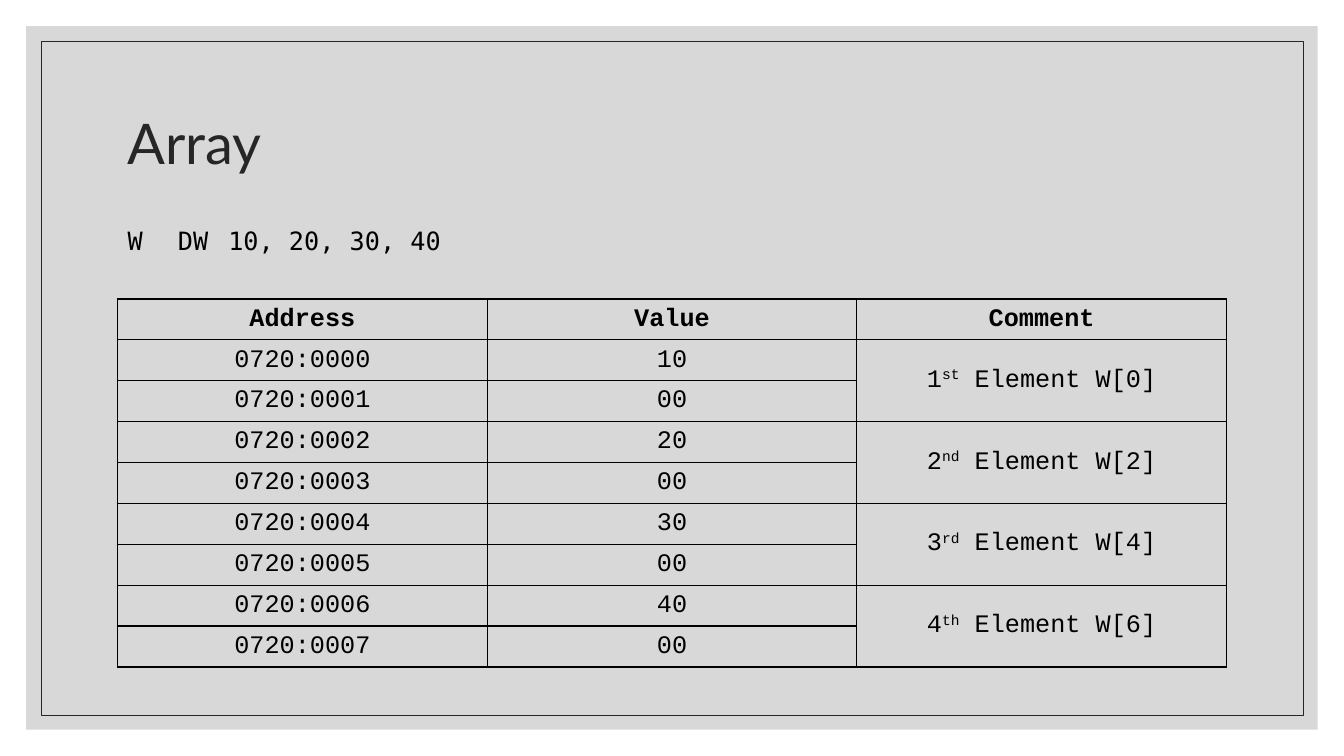
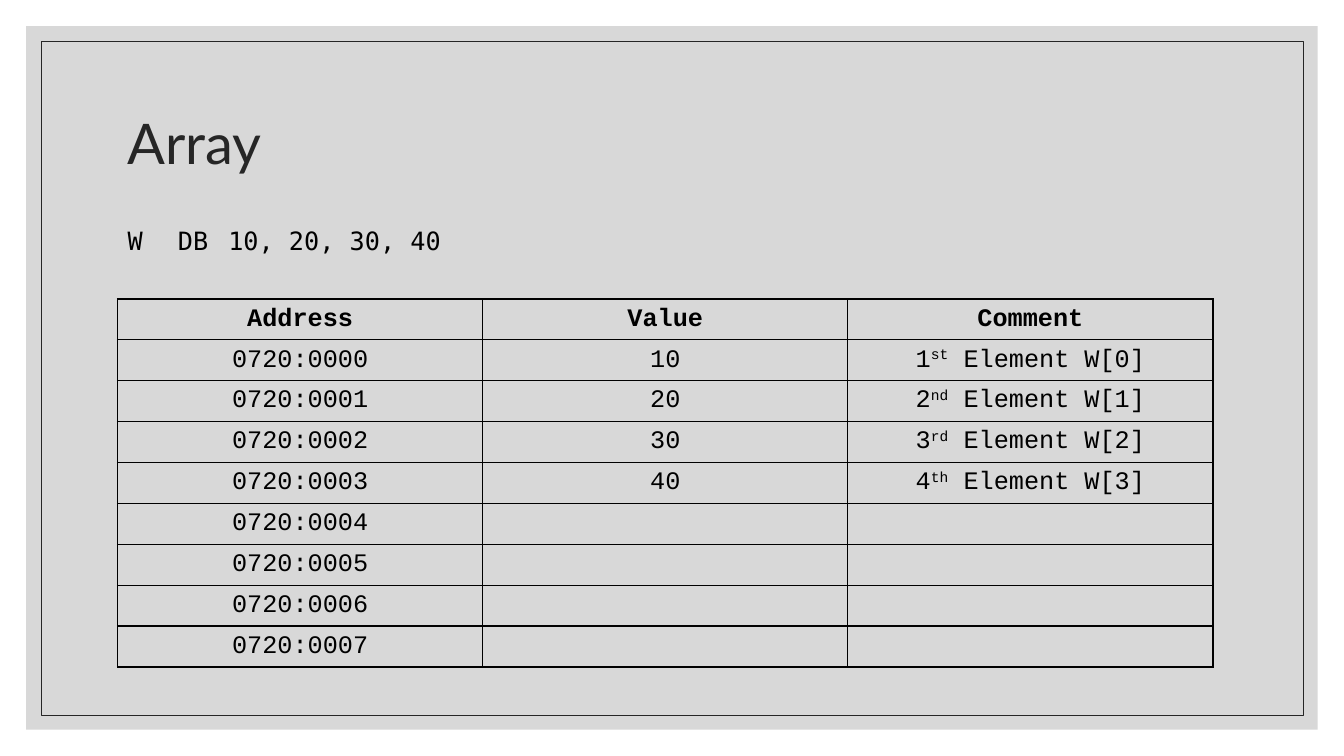
"""Build two slides showing how word and byte arrays are laid out in memory."""
from dataclasses import dataclass

from lxml.etree import SubElement
from pptx import Presentation
from pptx.dml.color import RGBColor as RGB
from pptx.enum.shapes import MSO_SHAPE as SHAPE
from pptx.enum.text import MSO_ANCHOR as ANCHOR, PP_ALIGN as ALIGN
from pptx.oxml.ns import qn
from pptx.util import Inches, Pt


@dataclass(frozen=True)
class Theme:
    panel: str = "BFBFBF"
    panel_alpha: int = 60
    ink: str = "262626"
    text: str = "000000"
    title_font: str = "Lato"
    code_font: str = "DejaVu Sans Mono"
    table_font: str = "Courier New"
    title_size: int = 40
    body_size: int = 18
    frame_line: float = 0.5
    cell_line: float = 1


T = Theme()
TITLE = dict(name=T.title_font, size=Pt(T.title_size), color=T.ink)
CODE = dict(name=T.code_font, size=Pt(T.body_size), color=T.text)
CELL = dict(name=T.table_font, size=Pt(T.body_size), color=T.text, bold=False)
HEAD = CELL | dict(bold=True)

prs = Presentation()
prs.slide_width, prs.slide_height = Inches(13.333), Inches(7.5)
COLS, ROWS = 80, 45
unit = prs.slide_height / ROWS


def grid(*spans):
    """Turn grid spans into lengths."""
    return [round(n * unit) for n in spans]


def write(p, text, fmt, raised=False):
    """Add a formatted run to a paragraph."""
    r = p.add_run()
    r.text = text
    for key, value in fmt.items():
        if key == "color":
            r.font.color.rgb = RGB.from_string(value)
        else:
            setattr(r.font, key, value)
    if raised:
        r._r.get_or_add_rPr().set("baseline", "30000")


LEFT, WIDTH = 7, 66
HEADERS = ["Address", "Value", "Comment"]
VALUES = [10, 20, 30, 40]
ORDINALS = ["st", "nd", "rd", "th"]
BYTES = 8
ARRAYS = [("DW", 2, WIDTH), ("DB", 1, 65.2)]

for directive, step, table_width in ARRAYS:
    s = prs.slides.add_slide(prs.slide_layouts[6])

    for inset, filled in [(1.56, True), (2.44, False)]:
        box = grid(inset, inset, COLS - 2 * inset, ROWS - 2 * inset)
        sp = s.shapes.add_shape(SHAPE.RECTANGLE, *box)
        sp.shadow.inherit = False
        if filled:
            sp.fill.solid()
            sp.fill.fore_color.rgb = RGB.from_string(T.panel)
            color = sp.fill._xPr.find(qn("a:solidFill"))[0]
            SubElement(color, qn("a:alpha"), val=str(T.panel_alpha * 1000))
            sp.line.fill.background()
        else:
            sp.fill.background()
            sp.line.color.rgb = RGB.from_string(T.ink)
            sp.line.width = Pt(T.frame_line)

    code = f"W\t{directive}\t" + ", ".join(map(str, VALUES))
    for text, fmt, box, anchor, para in [
        ("Array", TITLE, (LEFT, 4.2, WIDTH, 9), ANCHOR.MIDDLE, dict(line_spacing=0.9)),
        (code, CODE, (LEFT, 13.1, 40, 2.4), ANCHOR.TOP, dict(alignment=ALIGN.JUSTIFY)),
    ]:
        tf = s.shapes.add_textbox(*grid(*box)).text_frame
        tf.word_wrap = True
        tf.vertical_anchor = anchor
        for key, value in para.items():
            setattr(tf.paragraphs[0], key, value)
        write(tf.paragraphs[0], text, fmt)

    box = grid(LEFT, 17.8, table_width, 21.9)
    table = s.shapes.add_table(BYTES + 1, len(HEADERS), *box).table
    table.first_row = table.horz_banding = False
    for cell in table.iter_cells():
        cell.vertical_anchor = ANCHOR.MIDDLE
        cell.text_frame.paragraphs[0].alignment = ALIGN.CENTER
        tcPr = cell._tc.get_or_add_tcPr()
        for side in "LRTB":
            ln = SubElement(tcPr, qn(f"a:ln{side}"), w=str(Pt(T.cell_line)))
            SubElement(SubElement(ln, qn("a:solidFill")), qn("a:srgbClr"), val=T.text)
        cell.fill.background()

    for col, header in enumerate(HEADERS):
        write(table.cell(0, col).text_frame.paragraphs[0], header, HEAD)

    for offset in range(BYTES):
        address, value, comment = (
            table.cell(offset + 1, col).text_frame.paragraphs[0] for col in range(3))
        write(address, f"0720:{offset:04}", CELL)
        index, high_byte = divmod(offset, step)
        if index >= len(VALUES):
            continue
        write(value, "00" if high_byte else str(VALUES[index]), CELL)
        if high_byte:
            continue
        write(comment, str(index + 1), CELL)
        write(comment, ORDINALS[index], CELL, raised=True)
        write(comment, f" Element W[{offset}]", CELL)
        if step > 1:
            table.cell(offset + 1, 2).merge(table.cell(offset + step, 2))

prs.save("out.pptx")
